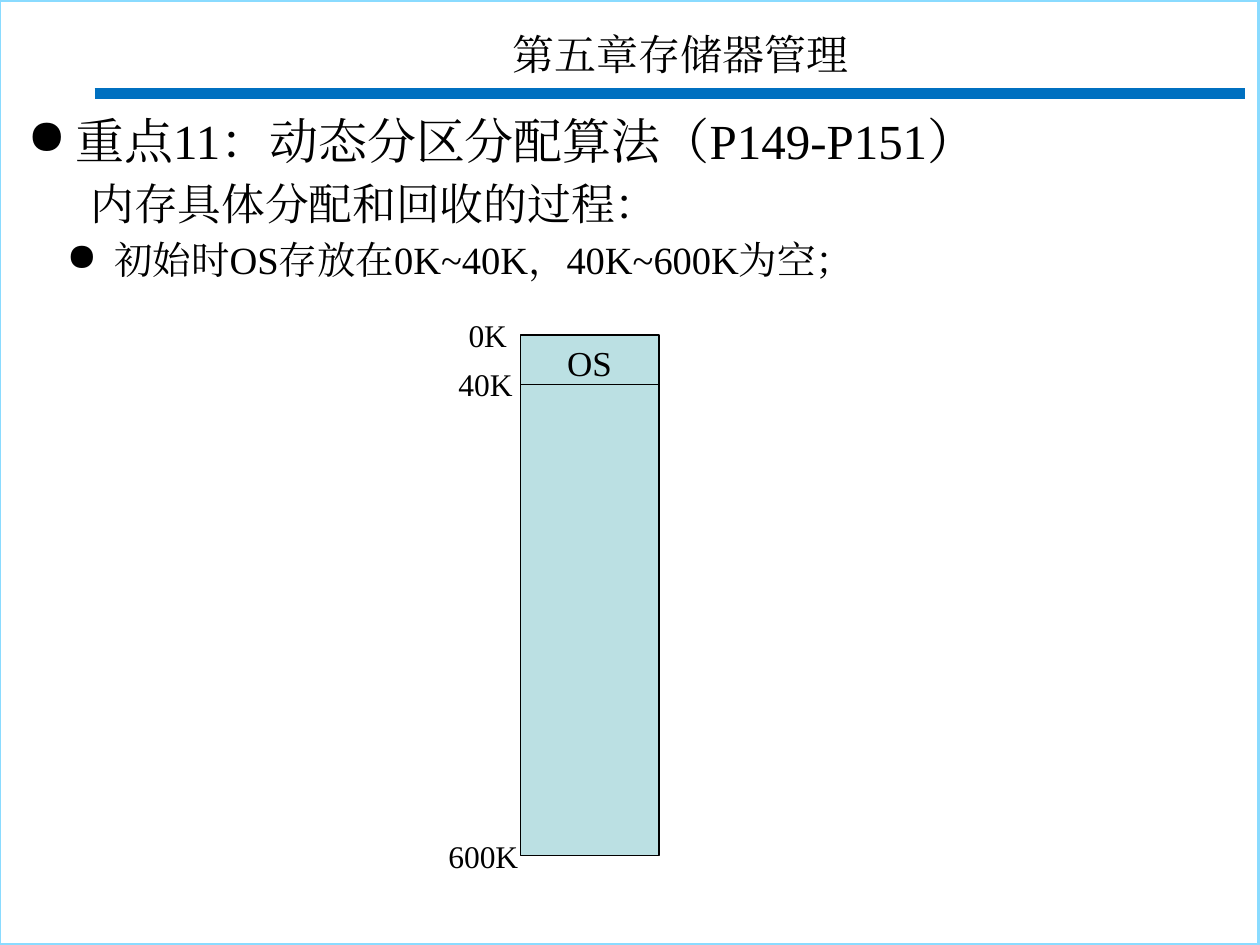
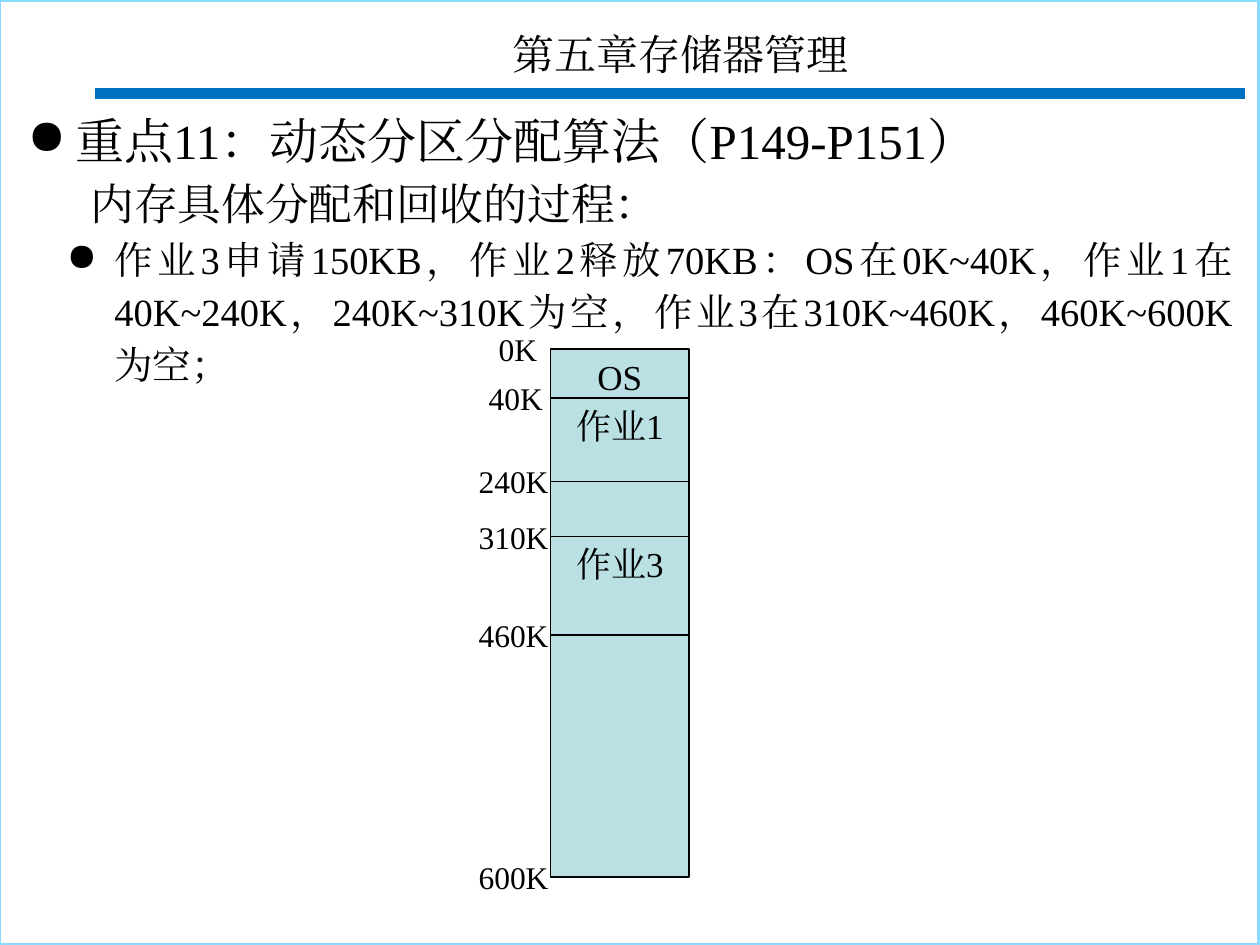
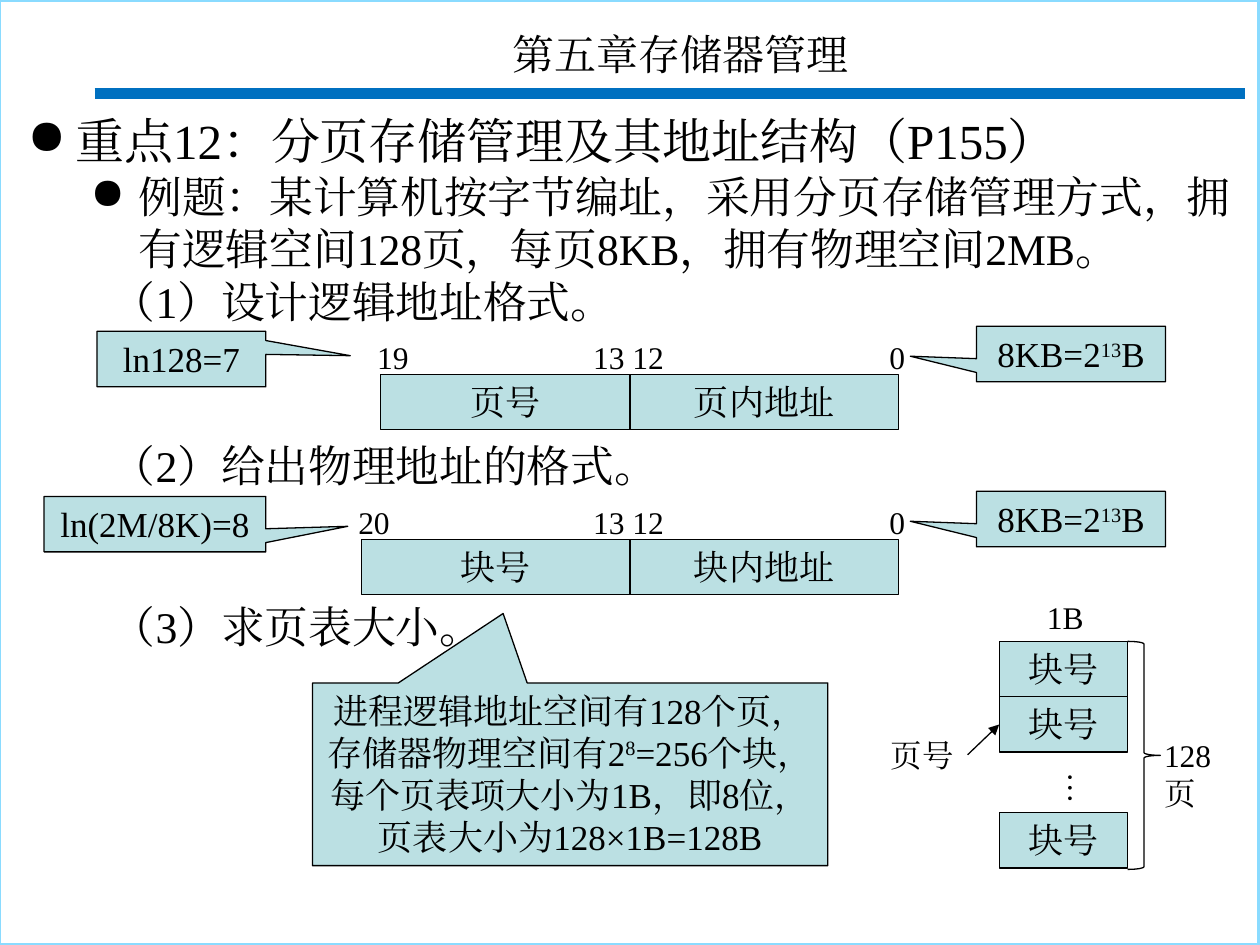
from lxml import etree
from pptx import Presentation
from pptx.dml.color import RGBColor
from pptx.enum.lang import MSO_LANGUAGE_ID
from pptx.enum.shapes import MSO_CONNECTOR, MSO_SHAPE
from pptx.enum.text import MSO_ANCHOR, PP_ALIGN
from pptx.oxml.ns import qn
from pptx.util import Inches, Pt

RECT = MSO_SHAPE.RECTANGLE
CALLOUT = MSO_SHAPE.RECTANGULAR_CALLOUT
BRACE = MSO_SHAPE.RIGHT_BRACE
STRAIGHT = MSO_CONNECTOR.STRAIGHT
TOP = MSO_ANCHOR.TOP
LEFT, CENTER, JUSTIFY = PP_ALIGN.LEFT, PP_ALIGN.CENTER, PP_ALIGN.JUSTIFY
CHINESE = MSO_LANGUAGE_ID.SIMPLIFIED_CHINESE

BLACK = RGBColor(0x00, 0x00, 0x00)
CELL_TEAL = RGBColor(0xBB, 0xE0, 0xE3)
FRAME_BLUE = RGBColor(0x8A, 0xDB, 0xFF)
BAND_BLUE = RGBColor(0x00, 0x70, 0xC0)

FONT = "Times New Roman"
COLUMNS, ROWS = 100, 75
CELL_HEIGHT = 4.4
LABEL_HEIGHT = 4
CHAPTER = "第五章存储器管理"

TOPIC = {"size": 28, "margin": 0.38, "hang": 0.38, "bullet": True}
STEP = {"size": 25, "margin": 0.5, "alignment": JUSTIFY, "line_spacing": 1.14}
DETAIL = {"size": 22, "margin": 0.69, "hang": 0.38, "bullet": True,
          "alignment": JUSTIFY, "line_spacing": 1.14}
EXAMPLE = {"size": 25, "margin": 0.88, "hang": 0.38, "bullet": True}
QUESTION = {"size": 25, "margin": 0.67}

ALLOCATION = [("重点11：动态分区分配算法（P149-P151）", TOPIC),
              ("内存具体分配和回收的过程：", STEP)]


class Deck:
    def __init__(self):
        self.presentation = Presentation()
        self.presentation.slide_width = Inches(10)
        self.presentation.slide_height = Inches(7.5)
        self.column = self.presentation.slide_width / COLUMNS
        self.row = self.presentation.slide_height / ROWS

    def box(self, left, top, width, height):
        return (round(left * self.column), round(top * self.row),
                round(width * self.column), round(height * self.row))

    def start_slide(self, paragraphs):
        slide = self.presentation.slides.add_slide(self.presentation.slide_layouts[6])
        self.shapes = slide.shapes
        self.shape(RECT, -0.1, 0, 100, 75, fill=None, line=FRAME_BLUE, weight=2.25)
        self.line((7.5, 7.4), (98.8, 7.4), BAND_BLUE, 6.25)
        self.text(9.1, 0.6, 89.8, 6.3,
                  [(CHAPTER, {"size": 24, "alignment": CENTER, "line_spacing": 1.3})])
        self.text(1.2, 8.3, 97.6, 62.3, paragraphs)

    def add_paragraphs(self, frame, paragraphs):
        for index, (content, style) in enumerate(paragraphs):
            paragraph = frame.add_paragraph() if index else frame.paragraphs[0]
            formats = {"alignment": style.get("alignment", LEFT),
                       "line_spacing": style.get("line_spacing", 1.0),
                       "space_before": Pt(style.get("space_before", 0))}
            for name, value in formats.items():
                setattr(paragraph, name, value)
            properties = paragraph._p.get_or_add_pPr()
            properties.set("marL", str(Inches(style.get("margin", 0))))
            properties.set("indent", str(-Inches(style.get("hang", 0))))
            if style.get("bullet"):
                etree.SubElement(properties, qn("a:buChar")).set("char", "●")
            for part, words in enumerate(content.split("^")):
                self.add_run(paragraph, words, style["size"], part % 2 == 1)

    def add_run(self, paragraph, words, size, raised):
        run = paragraph.add_run()
        run.text = words
        run.font.color.rgb = BLACK
        formats = {"name": FONT, "size": Pt(size), "language_id": CHINESE}
        for name, value in formats.items():
            setattr(run.font, name, value)
        properties = run._r.get_or_add_rPr()
        etree.SubElement(properties, qn("a:ea")).set("typeface", FONT)
        if raised:
            properties.set("baseline", "30000")

    def text(self, left, top, width, height, paragraphs, wrap=True):
        area = self.shapes.add_textbox(*self.box(left, top, width, height))
        area.text_frame.word_wrap = wrap
        self.add_paragraphs(area.text_frame, paragraphs)
        return area

    def label(self, words, left, top, width, height=LABEL_HEIGHT, wrap=False):
        return self.text(left, top, width, height, [(words, {"size": 18})], wrap)

    def shape(self, kind, left, top, width, height, words="", fill=CELL_TEAL,
              line=BLACK, weight=0.75):
        figure = self.shapes.add_shape(kind, *self.box(left, top, width, height))
        figure.shadow.inherit = False
        if fill is None:
            figure.fill.background()
        else:
            figure.fill.solid()
            figure.fill.fore_color.rgb = fill
        figure.line.color.rgb = line
        figure.line.width = Pt(weight)
        if words:
            frame = figure.text_frame
            frame.word_wrap = True
            frame.vertical_anchor = TOP
            self.add_paragraphs(frame, [(words, {"size": 20, "alignment": CENTER})])
        return figure

    def cell(self, words, left, top, width, height=CELL_HEIGHT):
        return self.shape(RECT, left, top, width, height, words)

    def callout(self, words, left, top, width, pointer, height=CELL_HEIGHT):
        figure = self.shape(CALLOUT, left, top, width, height, words)
        for index, value in enumerate(pointer):
            figure.adjustments[index] = value

    def line(self, start, end, color=BLACK, weight=0.75):
        connector = self.shapes.add_connector(STRAIGHT, *self.box(*start, *end))
        connector.line.color.rgb = color
        connector.line.width = Pt(weight)
        etree.SubElement(connector._element.spPr, qn("a:effectLst"))
        return connector

    def arrow(self, source, target):
        connector = self.line((0, 0), (1, 1))
        connector.begin_connect(source, 3)
        connector.end_connect(target, 1)
        outline = connector._element.spPr.find(qn("a:ln"))
        etree.SubElement(outline, qn("a:tailEnd")).set("type", "triangle")

    def memory_map(self, left, blocks, bottom):
        ends = [top for _, top, _ in blocks[1:]] + [bottom]
        for (_, top, job), end in zip(blocks, ends):
            self.cell(job, left, top, 11, max(end - top, CELL_HEIGHT))
        marks = [(address, top) for address, top, _ in blocks] + [("600K", bottom)]
        for address, top in marks:
            extra = len(address) - 2
            self.label(address, left - 5.1 - 0.8 * extra, top - 2, 5.1 + 1.25 * extra)

    def address_format(self, top, left, high_bit, fields, note, note_left, pointer):
        split, right = 50, 71.3
        self.callout(note, note_left, top - 3.4, 21.1 - note_left, pointer)
        self.callout("8KB=2^13^B", 77.5, top - 3.8, 15, (-0.85, 0.04))
        self.cell(fields[0], left, top, split - left)
        self.cell(fields[1], split, top, right - split)
        bits = [(high_bit, left - 1.25, 4.5), ("13", 46.1, 4.5),
                ("12", 49.2, 4.5), ("0", 69.6, 3.3)]
        for bit, bit_left, width in bits:
            self.label(bit, bit_left, top - 3.4, width)

    def page_table(self):
        left, top, width = 79.3, 50.9, 10.2
        entries = [self.cell("块号", left, entry_top, width)
                   for entry_top in (top, top + CELL_HEIGHT, 64.5)]
        dots = self.label("…", 82.8, 60.3, 5, 3.5)
        dots.text_frame._txBody.bodyPr.set("vert", "eaVert")
        page = self.label("页号", 69.7, 57.9, 7.1, wrap=True)
        self.arrow(page, entries[1])
        self.shape(BRACE, left + width, top, 2.6, 18.1, fill=None)
        self.label("128页", 91.4, 57.9, 8, wrap=True)
        self.label("1B", 82.1, 47, 5)


def main():
    deck = Deck()

    deck.start_slide(ALLOCATION + [("初始时OS存放在0K~40K，40K~600K为空；", DETAIL)])
    deck.memory_map(41.3, [("0K", 26.6, "OS"), ("40K", 30.5, "")], 67.9)

    deck.start_slide(ALLOCATION + [(
        "作业3申请150KB，作业2释放70KB：OS在0K~40K，作业1在40K~240K，"
        "240K~310K为空，作业3在310K~460K，460K~600K 为空；", DETAIL)])
    deck.memory_map(43.7, [("0K", 27.7, "OS"), ("40K", 31.6, "作业1"),
                           ("240K", 38.2, ""), ("310K", 42.6, "作业3"),
                           ("460K", 50.4, "")], 69.6)

    deck.start_slide([
        ("重点12：分页存储管理及其地址结构（P155）", TOPIC),
        ("例题：某计算机按字节编址，采用分页存储管理方式，"
         "拥有逻辑空间128页，每页8KB，拥有物理空间2MB。", EXAMPLE),
        ("（1）设计逻辑地址格式。", QUESTION),
        ("（2）给出物理地址的格式。", {**QUESTION, "space_before": 64}),
        ("（3）求页表大小。", {**QUESTION, "space_before": 62})])
    deck.callout("进程逻辑地址空间有128个页，存储器物理空间有2^8^=256个块，"
                 "每个页表项大小为1B，即8位，页表大小为128×1B=128B",
                 24.8, 54.2, 40.9, (-0.13, -0.88), 14.5)
    deck.address_format(29.7, 30.2, "19", ("页号", "页内地址"),
                        "ln128=7", 7.7, (1.0, -0.06))
    deck.address_format(42.8, 28.7, "20", ("块号", "块内地址"),
                        "ln(2M/8K)=8", 3.5, (0.87, 0.04))
    deck.page_table()

    deck.presentation.save("out.pptx")


if __name__ == "__main__":
    main()
